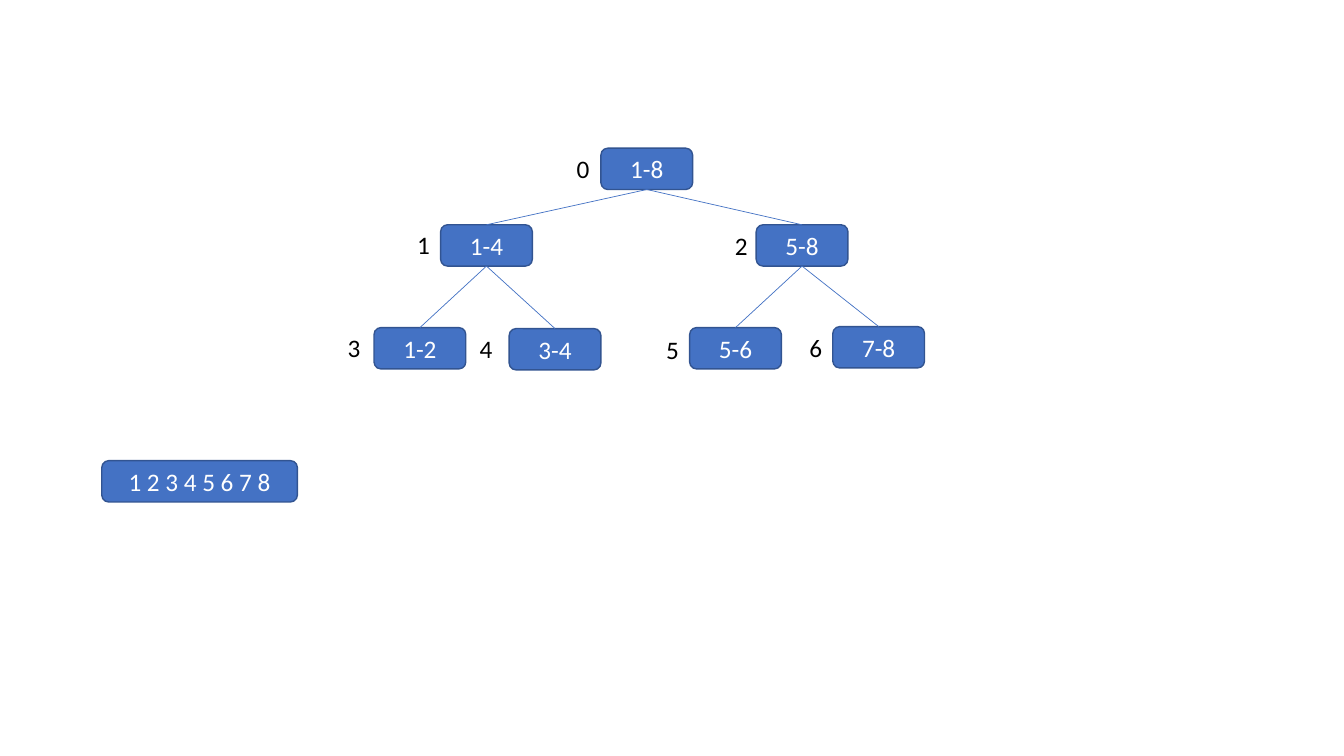
from lxml import etree
from pptx import Presentation
from pptx.dml.color import RGBColor
from pptx.enum.shapes import MSO_CONNECTOR, MSO_SHAPE
from pptx.enum.text import MSO_ANCHOR, MSO_AUTO_SIZE, PP_ALIGN
from pptx.oxml.ns import qn
from pptx.util import Inches, Pt

ROUNDED = MSO_SHAPE.ROUNDED_RECTANGLE
STRAIGHT = MSO_CONNECTOR.STRAIGHT
MIDDLE = MSO_ANCHOR.MIDDLE
CENTER, LEFT = PP_ALIGN.CENTER, PP_ALIGN.LEFT
FIT_SHAPE = MSO_AUTO_SIZE.SHAPE_TO_FIT_TEXT

BLUE, DARK_BLUE, WHITE, BLACK = "4472C4", "325491", "FFFFFF", "000000"
BOX_W, BOX_H = 0.91, 0.41
LABEL_W, LABEL_H = 0.33, 0.4
TOP_SITE, BOTTOM_SITE = 0, 2

# Heap order: range, box left, box top, index left, index top
NODES = [
    ("1-8", 5.96, 1.47, 5.62, 1.47),
    ("1-4", 4.37, 2.23, 4.04, 2.23),
    ("5-8", 7.5, 2.23, 7.19, 2.24),
    ("1-2", 3.71, 3.25, 3.35, 3.25),
    ("3-4", 5.05, 3.26, 4.66, 3.26),
    ("5-6", 6.84, 3.25, 6.51, 3.27),
    ("7-8", 8.26, 3.24, 7.93, 3.25),
]


def rgb(value):
    """Return the colour for a hex string."""
    return RGBColor.from_string(value)


def write(tf, text, color, align):
    """Put one line of text in a text frame."""
    p = tf.paragraphs[0]
    p.text = text
    p.alignment = align
    p.font.name = "Calibri"
    p.font.size = Pt(18)
    p.font.color.rgb = rgb(color)


def add_box(s, text, left, top, width=BOX_W):
    """Add a rounded blue box with centred text."""
    sp = s.shapes.add_shape(ROUNDED, Inches(left), Inches(top),
                            Inches(width), Inches(BOX_H))
    sp.shadow.inherit = False
    sp.fill.solid()
    sp.fill.fore_color.rgb = rgb(BLUE)
    sp.line.color.rgb = rgb(DARK_BLUE)
    sp.line.width = Pt(1)
    sp.text_frame.vertical_anchor = MIDDLE
    write(sp.text_frame, text, WHITE, CENTER)
    return sp


def add_label(s, text, left, top):
    """Add a node index as an unwrapped text box."""
    sp = s.shapes.add_textbox(Inches(left), Inches(top),
                              Inches(LABEL_W), Inches(LABEL_H))
    tf = sp.text_frame
    tf.word_wrap = False
    tf.auto_size = FIT_SHAPE
    write(tf, text, BLACK, LEFT)


def add_branch(s, parent, child):
    """Join the bottom of a parent box to the top of a child box."""
    line = s.shapes.add_connector(STRAIGHT, 0, 0, 0, 0)
    line.begin_connect(parent, BOTTOM_SITE)
    line.end_connect(child, TOP_SITE)
    line.line.color.rgb = rgb(BLUE)
    line.line.width = Pt(0.5)
    etree.SubElement(line._element.spPr, qn("a:effectLst"))


def main():
    """Build the segment tree slide."""
    prs = Presentation()
    prs.slide_width, prs.slide_height = Inches(13.33), Inches(7.5)
    s = prs.slides.add_slide(prs.slide_layouts[6])

    boxes = [add_box(s, text, left, top) for text, left, top, *_ in NODES]
    for i, child in enumerate(boxes[1:], start=1):
        add_branch(s, boxes[(i - 1) // 2], child)
    for i, (*_, left, top) in enumerate(NODES):
        add_label(s, str(i), left, top)
    add_box(s, "1 2 3 4 5 6 7 8", 1.01, 4.57, 1.94)

    prs.save("out.pptx")


if __name__ == "__main__":
    main()
